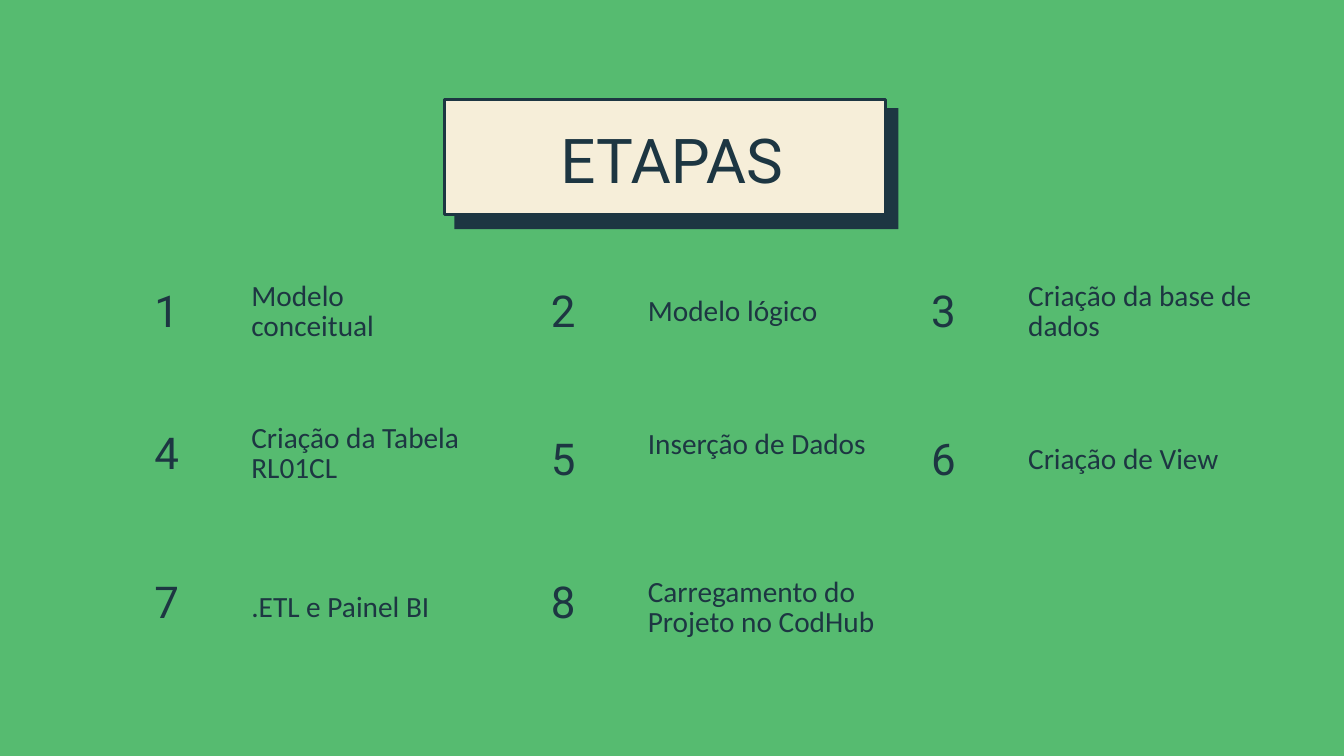
from pptx import Presentation
from pptx.dml.color import RGBColor
from pptx.enum.shapes import MSO_SHAPE
from pptx.enum.text import MSO_AUTO_SIZE, PP_ALIGN
from pptx.util import Inches, Pt

GREEN, NAVY, CREAM = "56BB70", "1D3642", "F6EED9"
COLUMN_LEFTS = (1.82, 7.72, 13.38)
NUMBER_WIDTH, NUMBER_HEIGHT = 1.32, 0.69
LABEL_OFFSET = 1.92
ONE_LINE, TWO_LINES = 0.48, 0.93

# Column, number top, label middle, label width, label height, label
STEPS = [
    (0, 4.33, 4.66, 3.13, TWO_LINES, "Modelo conceitual"),
    (1, 4.33, 4.66, 3.13, ONE_LINE, "Modelo lógico"),
    (2, 4.33, 4.66, 3.88, TWO_LINES, "Criação da base de dados"),
    (0, 6.45, 6.78, 3.4, TWO_LINES, "Criação da Tabela RL01CL"),
    (1, 6.54, 6.87, 3.4, TWO_LINES, "Inserção de Dados"),
    (2, 6.54, 6.87, 4.02, ONE_LINE, "Criação de View"),
    (0, 8.66, 9.07, 4.02, ONE_LINE, ".ETL e Painel BI"),
    (1, 8.66, 9.07, 4.02, TWO_LINES, "Carregamento do Projeto no CodHub"),
]


def color(hex_value):
    return RGBColor.from_string(hex_value)


class SlideBuilder:
    def __init__(self, slide):
        self.slide = slide
        background = slide.background.fill
        background.solid()
        background.fore_color.rgb = color(GREEN)

    def panel(self, left, top, width, height, fill, line=None):
        box = self.slide.shapes.add_shape(
            MSO_SHAPE.RECTANGLE, Inches(left), Inches(top), Inches(width), Inches(height)
        )
        box.shadow.inherit = False
        box.fill.solid()
        box.fill.fore_color.rgb = color(fill)
        if line:
            box.line.color.rgb = color(line)
            box.line.width = Pt(3)
        else:
            box.line.fill.background()

    def text(self, left, top, width, height, words, size, spacing, font, align=PP_ALIGN.LEFT):
        box = self.slide.shapes.add_textbox(
            Inches(left), Inches(top), Inches(width), Inches(height)
        )
        frame = box.text_frame
        frame.word_wrap = True
        frame.auto_size = MSO_AUTO_SIZE.SHAPE_TO_FIT_TEXT
        frame.margin_left = frame.margin_right = frame.margin_top = frame.margin_bottom = 0
        para = frame.paragraphs[0]
        para.alignment = align
        para.line_spacing = Pt(spacing)
        span = para.add_run()
        span.text = words
        span.font.name = font
        span.font.size = Pt(size)
        span.font.color.rgb = color(NAVY)

    def step(self, number, column, number_top, label_middle, width, height, label):
        left = COLUMN_LEFTS[column]
        self.text(left, number_top, NUMBER_WIDTH, NUMBER_HEIGHT, str(number),
                  47, 48.4, "Roboto", PP_ALIGN.CENTER)
        self.text(left + LABEL_OFFSET, label_middle - height / 2, width, height, label,
                  31.4, 32.3, "Calibri")


def main():
    deck = Presentation()
    deck.slide_width, deck.slide_height = Inches(20), Inches(11.25)
    page = SlideBuilder(deck.slides.add_slide(deck.slide_layouts[6]))

    page.panel(6.76, 1.61, 6.61, 1.8, NAVY)
    page.panel(6.62, 1.48, 6.56, 1.71, CREAM, NAVY)
    page.text(6.95, 1.97, 6.09, 0.99, "ETAPAS", 66.2, 68.2, "Roboto", PP_ALIGN.CENTER)
    for number, step in enumerate(STEPS, start=1):
        page.step(number, *step)

    deck.save("out.pptx")


if __name__ == "__main__":
    main()
